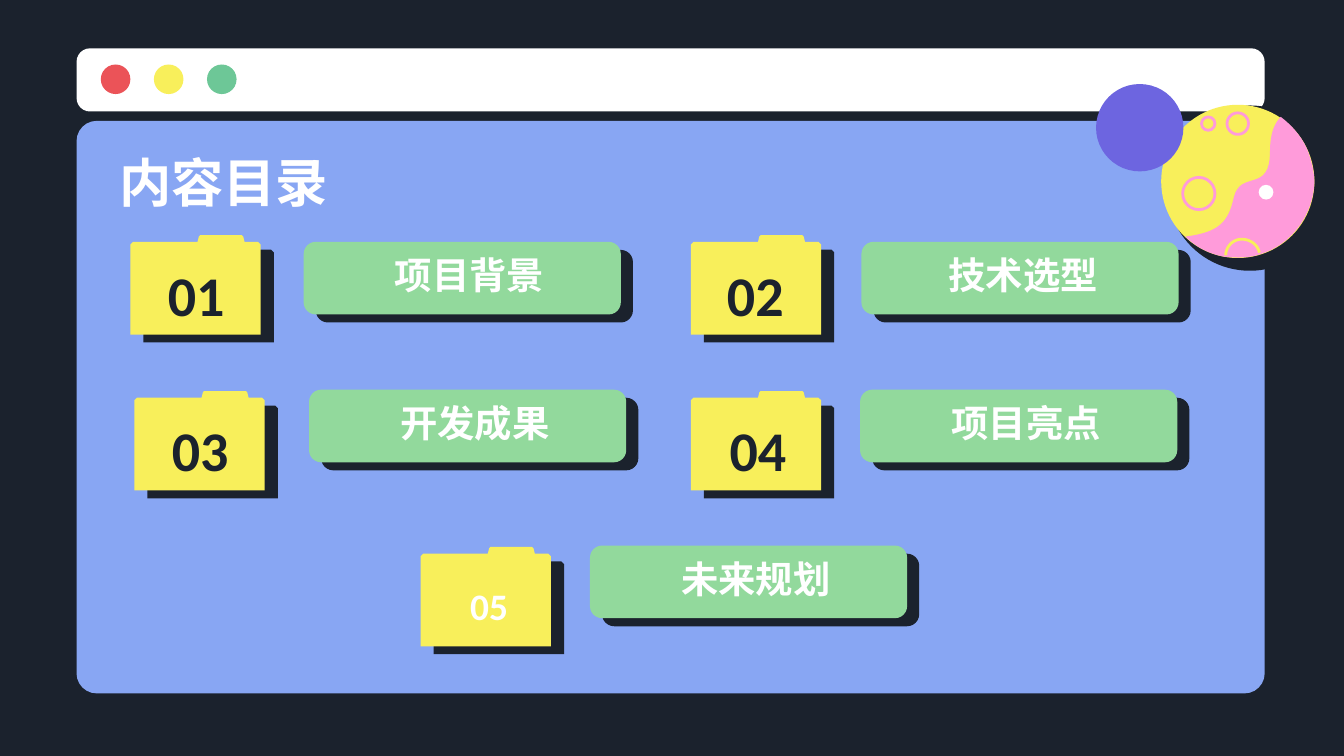
from lxml.etree import SubElement
from pptx import Presentation
from pptx.dml.color import RGBColor
from pptx.enum.shapes import MSO_SHAPE as Shape
from pptx.enum.text import MSO_ANCHOR as Anchor, PP_ALIGN as Align
from pptx.oxml.ns import qn
from pptx.util import Inches, Pt

DARK, WHITE, YELLOW, PINK = "1B222D", "FFFFFF", "F8EF5B", "FF9BDA"
BLUE, GREEN, PURPLE = "88A6F3", "92D99C", "6D65E0"
LATIN, CHINESE = "Calibri", "Noto Sans CJK SC"


def color(value):
    """Turn a hex string into a colour."""
    return RGBColor.from_string(value)


def paint(shape, fill=None, line=None):
    """Give a shape its fill and outline, without a shadow."""
    shape.shadow.inherit = False
    if fill:
        shape.fill.solid()
        shape.fill.fore_color.rgb = color(fill)
    else:
        shape.fill.background()
    if line:
        shape.line.color.rgb = color(line)
        shape.line.width = Pt(1.5)
    else:
        shape.line.fill.background()
    return shape


def add_block(slide, kind, box, fill=None, line=None, radius=None):
    """Add a preset shape; radius is the corner size in inches."""
    shape = slide.shapes.add_shape(kind, *map(Inches, box))
    if radius:
        shape.adjustments[0] = radius / min(box[2:])
    return paint(shape, fill, line)


def add_circle(slide, x, y, radius, fill=None, line=None):
    """Add a circle around a centre."""
    box = (x - radius, y - radius, 2 * radius, 2 * radius)
    return add_block(slide, Shape.OVAL, box, fill, line)


def add_outline(slide, points, fill=None, line=None, close=True):
    """Add a freeform through points given in inches."""
    points = [(Inches(x), Inches(y)) for x, y in points]
    builder = slide.shapes.build_freeform(*points[0], scale=1)
    builder.add_line_segments(points[1:], close=close)
    return paint(builder.convert_to_shape(), fill, line)


def curve(start, segments, steps=16):
    """Sample a chain of cubic Bezier segments."""
    points = [start]
    for x1, y1, x2, y2, x3, y3 in segments:
        x0, y0 = points[-1]
        for step in range(1, steps + 1):
            t = step / steps
            a, b, c, d = (1 - t) ** 3, 3 * t * (1 - t) ** 2, 3 * t * t * (1 - t), t ** 3
            points.append((a * x0 + b * x1 + c * x2 + d * x3,
                           a * y0 + b * y1 + c * y2 + d * y3))
    return points


def add_text(slide, box, text, size, font, fill=WHITE, align=Align.CENTER, anchor=Anchor.MIDDLE):
    """Add one bold line of text."""
    frame = slide.shapes.add_textbox(*map(Inches, box)).text_frame
    frame.word_wrap = True
    frame.vertical_anchor = anchor
    frame.margin_left = frame.margin_right = Inches(0.1)
    frame.margin_top = frame.margin_bottom = Inches(0.1)
    paragraph = frame.paragraphs[0]
    paragraph.text = text
    paragraph.alignment = align
    paragraph.font.size = Pt(size)
    paragraph.font.bold = True
    paragraph.font.name = font
    paragraph.font.color.rgb = color(fill)
    SubElement(paragraph._p.pPr.find(qn("a:defRPr")), qn("a:ea"), typeface=font)


def add_window(slide, x, y, width):
    """Draw the browser window with its three buttons."""
    add_block(slide, Shape.ROUNDED_RECTANGLE, (x, y, width, 0.47), WHITE, radius=0.1)
    for index, fill in enumerate(("EB5358", YELLOW, "6DC797")):
        add_circle(slide, x + 0.29 + index * 0.395, y + 0.23, 0.11, fill)
    add_block(slide, Shape.ROUNDED_RECTANGLE, (x, y + 0.54, width, 4.26), BLUE, radius=0.15)


def add_planets(slide, x, y):
    """Draw the two planets around the centre of the larger one."""
    def place(points):
        return [(x + dx, y + dy) for dx, dy in points]

    add_circle(slide, x + 0.09, y + 0.05, 0.615, DARK)
    add_circle(slide, x, y, 0.57, YELLOW)
    for dx, dy, radius in ((0, -0.43, 0.08), (-0.22, -0.43, 0.05), (-0.29, 0.09, 0.12)):
        add_circle(slide, x + dx, y + dy, radius, line=PINK)
    land = curve((0.32, -0.48), [
        (0.4, -0.42, 0.48, -0.33, 0.52, -0.23),
        (0.55, -0.15, 0.57, -0.07, 0.57, 0.01),
        (0.56, 0.25, 0.4, 0.47, 0.17, 0.54),
        (0.09, 0.57, -0.01, 0.57, -0.1, 0.56),
        (-0.21, 0.54, -0.31, 0.49, -0.39, 0.41),
        (-0.15, 0.38, -0.07, 0.31, -0.03, 0.12),
        (0.02, -0.09, 0.24, 0.09, 0.24, -0.22),
        (0.24, -0.37, 0.28, -0.44, 0.32, -0.48)])
    add_outline(slide, place(land), PINK)
    crater = curve((-0.09, 0.55), [
        (-0.09, 0.49, -0.04, 0.43, 0.03, 0.43),
        (0.09, 0.43, 0.15, 0.47, 0.16, 0.53)])
    add_outline(slide, place(crater), line=YELLOW, close=False)
    add_circle(slide, x + 0.21, y + 0.08, 0.055, WHITE)
    add_circle(slide, x - 0.73, y - 0.4, 0.325, PURPLE)


def add_folder(slide, x, y, text_x, number, size, fill):
    """Draw a numbered folder with a hard shadow."""
    points = [(0, 0.07), (0.02, 0.05), (0.5, 0.05), (0.51, 0.01), (0.52, 0), (0.83, 0),
              (0.84, 0.01), (0.85, 0.05), (0.95, 0.05), (0.97, 0.07), (0.97, 0.74), (0, 0.74)]
    folder = add_outline(slide, [(x + dx, y + dy) for dx, dy in points], YELLOW)
    effects = folder._element.spPr.find(qn("a:effectLst"))
    shadow = SubElement(effects, qn("a:outerShdw"), dist=str(Pt(8.2)), dir=str(31 * 60000),
                        algn="bl", rotWithShape="0")
    SubElement(shadow, qn("a:srgbClr"), val=DARK)
    add_text(slide, (x + text_x, y + 0.13, 0.82, 0.61), number, size, LATIN, fill)


def add_label(slide, x, y, text_x, text):
    """Draw a green label over its dark offset."""
    for offset_x, offset_y, fill in ((0.09, 0.06, DARK), (0, 0, GREEN)):
        box = (x + offset_x, y + offset_y, 2.36, 0.54)
        add_block(slide, Shape.ROUNDED_RECTANGLE, box, fill, radius=0.09)
    add_text(slide, (x + text_x, y + 0.1, 1.93, 0.41), text, 20, CHINESE, anchor=Anchor.BOTTOM)


def build():
    """Build and save the contents slide."""
    presentation = Presentation()
    presentation.slide_width = Inches(10)
    presentation.slide_height = presentation.slide_width * 9 // 16
    slide = presentation.slides.add_slide(presentation.slide_layouts[6])
    slide.background.fill.solid()
    slide.background.fill.fore_color.rgb = color(DARK)
    add_window(slide, 0.57, 0.36, 8.84)
    add_planets(slide, 9.21, 1.35)
    add_text(slide, (0.79, 1.02, 8.43, 0.62), "内容目录", 28, CHINESE,
             align=Align.LEFT, anchor=Anchor.TOP)
    entries = [
        ("项目背景", (0.97, 1.75, 0.08), (2.26, 1.8, 0.27), 30, DARK),
        ("技术选型", (5.14, 1.75, 0.07), (6.41, 1.8, 0.24), 30, DARK),
        ("开发成果", (1, 2.91, 0.08), (2.3, 2.9, 0.27), 30, DARK),
        ("项目亮点", (5.14, 2.91, 0.09), (6.4, 2.9, 0.27), 30, DARK),
        ("未来规划", (3.13, 4.07, 0.1), (4.39, 4.06, 0.27), 20, WHITE)]
    for index, (text, folder, label, size, fill) in enumerate(entries, 1):
        add_folder(slide, *folder, f"{index:02}", size, fill)
        add_label(slide, *label, text)
    presentation.save("out.pptx")


if __name__ == "__main__":
    build()
